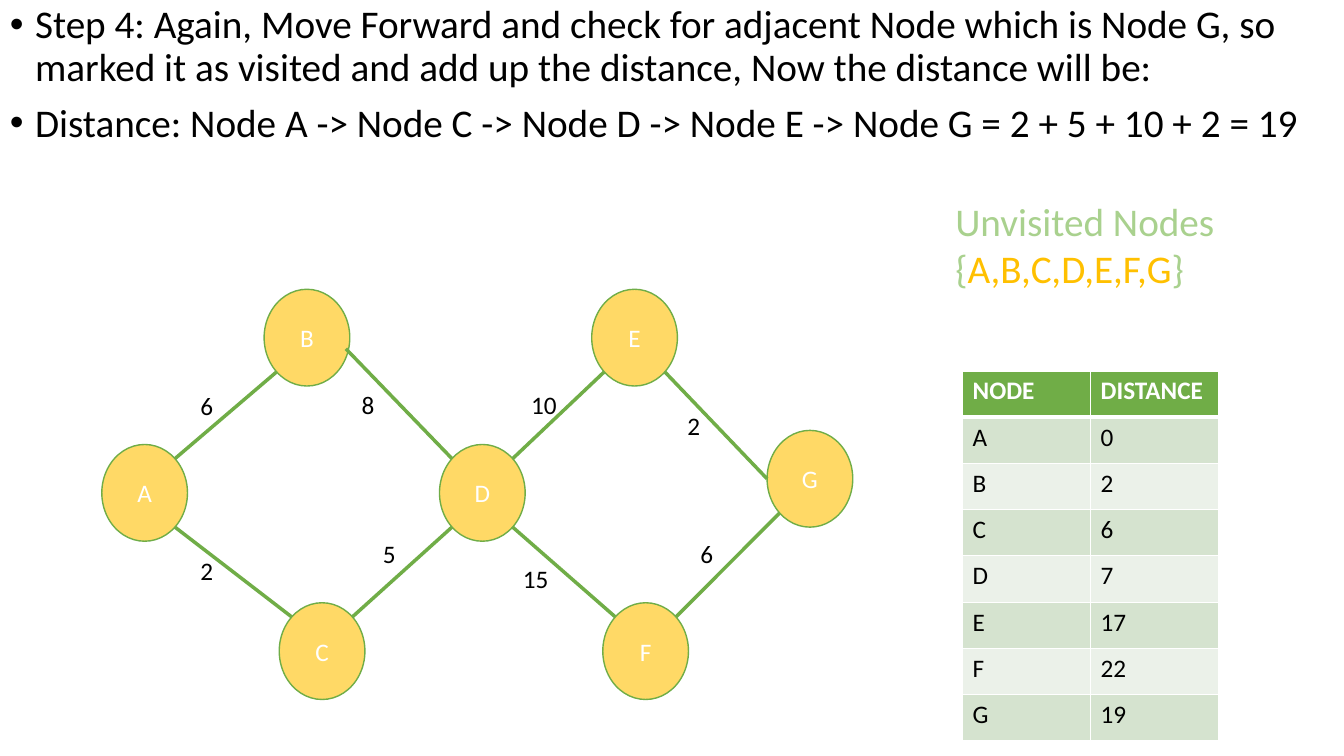
import math

import pptx
import pptx.dml.color
import pptx.enum.shapes
import pptx.enum.text
import pptx.oxml
import pptx.oxml.ns
import pptx.util

COLORS = {"black": "000000", "white": "FFFFFF", "node": "FFD966", "green": "70AD47",
          "pale green": "A9D18E", "gold": "FFC000", "band dark": "D5E3CF", "band light": "EBF1E9"}
FONT = "Calibri"
CELL = 0.1  # inches per grid column and row
COLUMNS, ROWS = 133.33, 75
NODE_WIDTH, NODE_HEIGHT = 8.5, 9.6
DIAGONAL = math.sqrt(0.5)

STEPS = [
    "Step 4: Again, Move Forward and check for adjacent Node which is Node G, "
    "so marked it as visited and add up the distance, Now the distance will be:",
    "Distance: Node A -> Node C -> Node D -> Node E -> Node G = 2 + 5 + 10 + 2 = 19",
]
# Left and top of each node
NODES = {"B": (26.2, 28.7), "A": (10.1, 44.1), "C": (27.7, 59.8), "D": (43.6, 44.1),
         "F": (59.8, 59.8), "E": (58.7, 28.7), "G": (76.1, 42.7)}
# Rim points in radii from a node's centre
UP_RIGHT, DOWN_RIGHT = (DIAGONAL, -DIAGONAL), (DIAGONAL, DIAGONAL)
UP_LEFT, DOWN_LEFT = (-DIAGONAL, -DIAGONAL), (-DIAGONAL, DIAGONAL)
LEFT, LOW_RIGHT = (-1, 0), (0.91, 0.23)
# Nodes, rim points, weight and the label's left and top
EDGES = [
    ("A", UP_RIGHT, "B", DOWN_LEFT, "6", 18.9, 38.2),
    ("F", UP_RIGHT, "G", DOWN_LEFT, "6", 68.5, 52.9),
    ("C", UP_RIGHT, "D", DOWN_LEFT, "5", 37, 52.9),
    ("D", UP_RIGHT, "E", DOWN_LEFT, "10", 51.7, 38.1),
    ("B", LOW_RIGHT, "D", UP_LEFT, "8", 34.9, 38.1),
    ("D", DOWN_RIGHT, "F", UP_LEFT, "15", 50.9, 55.4),
    ("E", DOWN_RIGHT, "G", LEFT, "2", 67.2, 40.2),
    ("A", DOWN_RIGHT, "C", UP_LEFT, "2", 18.9, 54.6),
]
DISTANCES = [("NODE", "DISTANCE"), ("A", "0"), ("B", "2"), ("C", "6"), ("D", "7"),
             ("E", "17"), ("F", "22"), ("G", "19")]


def grid(*cells):
    return [pptx.util.Inches(cell * CELL) for cell in cells]


def color(name):
    return pptx.dml.color.RGBColor.from_string(COLORS[name])


def style(span, size, name, bold=False):
    span.font.name = FONT
    span.font.size = pptx.util.Pt(size)
    span.font.bold = bold
    span.font.color.rgb = color(name)


def add_text(page, place, lines, size):
    """Each line is a list of (text, colour) pieces."""
    frame = page.shapes.add_textbox(*grid(*place)).text_frame
    frame.word_wrap = True
    for index, pieces in enumerate(lines):
        para = frame.add_paragraph() if index else frame.paragraphs[0]
        for text, name in pieces:
            span = para.add_run()
            span.text = text
            style(span, size, name)
    return frame


def add_bullets(page, place, lines):
    frame = add_text(page, place, [[(line, "black")] for line in lines], 28)
    for para in frame.paragraphs:
        para.line_spacing = 0.9
        para.space_before = pptx.util.Pt(10)
        properties = para._p.get_or_add_pPr()
        indent = pptx.util.Inches(0.25)
        properties.set("marL", str(indent))
        properties.set("indent", str(-indent))
        namespace = pptx.oxml.ns.nsdecls("a")
        properties.append(pptx.oxml.parse_xml(f'<a:buFont {namespace} typeface="Arial"/>'))
        properties.append(pptx.oxml.parse_xml(f'<a:buChar {namespace} char="•"/>'))


def add_node(page, name, left, top):
    node = page.shapes.add_shape(pptx.enum.shapes.MSO_SHAPE.OVAL,
                                 *grid(left, top, NODE_WIDTH, NODE_HEIGHT))
    node.shadow.inherit = False
    node.fill.solid()
    node.fill.fore_color.rgb = color("node")
    node.line.color.rgb = color("green")
    node.line.width = pptx.util.Pt(1)
    node.text_frame.text = name
    node.text_frame.vertical_anchor = pptx.enum.text.MSO_ANCHOR.MIDDLE
    para = node.text_frame.paragraphs[0]
    para.alignment = pptx.enum.text.PP_ALIGN.CENTER
    style(para.runs[0], 18, "white")


def rim_point(name, direction):
    left, top = NODES[name]
    return (left + NODE_WIDTH / 2 * (1 + direction[0]),
            top + NODE_HEIGHT / 2 * (1 + direction[1]))


def add_edge(page, start, end):
    edge = page.shapes.add_connector(pptx.enum.shapes.MSO_CONNECTOR.STRAIGHT,
                                     *grid(*start, *end))
    edge.line.color.rgb = color("green")
    edge.line.width = pptx.util.Pt(2.5)
    edge._element.spPr.append(
        pptx.oxml.parse_xml(f'<a:effectLst {pptx.oxml.ns.nsdecls("a")}/>'))


def add_borders(cell, row):
    heavy_side = {0: "B", 1: "T"}.get(row)
    for side in "LRTB":
        width = pptx.util.Pt(3 if side == heavy_side else 0.96)
        cell._tc.get_or_add_tcPr().append(pptx.oxml.parse_xml(
            f'<a:ln{side} {pptx.oxml.ns.nsdecls("a")} w="{width}"><a:solidFill>'
            f'<a:srgbClr val="{COLORS["white"]}"/></a:solidFill></a:ln{side}>'))


def add_distance_table(page, place, rows):
    table = page.shapes.add_table(len(rows), len(rows[0]), *grid(*place)).table
    for row, values in enumerate(rows):
        fill = "green" if row == 0 else "band dark" if row % 2 else "band light"
        for column, value in enumerate(values):
            cell = table.cell(row, column)
            add_borders(cell, row)
            cell.fill.solid()
            cell.fill.fore_color.rgb = color(fill)
            cell.text_frame.text = value
            style(cell.text_frame.paragraphs[0].runs[0], 18,
                  "black" if row else "white", bold=row == 0)


def main():
    deck = pptx.Presentation()
    deck.slide_width, deck.slide_height = grid(COLUMNS, ROWS)
    page = deck.slides.add_slide(deck.slide_layouts[6])

    # Explanation
    add_bullets(page, (0, 0, COLUMNS, ROWS), STEPS)

    # Graph
    for name, (left, top) in NODES.items():
        add_node(page, name, left, top)
    for first, leave, second, arrive, weight, left, top in EDGES:
        add_edge(page, rim_point(first, leave), rim_point(second, arrive))
        add_text(page, (left, top, 11.6, 4), [[(weight, "black")]], 18)

    # Visited nodes and distances
    add_text(page, (93.8, 19.1, 43.3, 55.9), [
        [("Unvisited Nodes", "pale green")],
        [("{", "pale green"), ("A,B,C,D,E,F,G", "gold"), ("}", "pale green")],
    ], 28)
    add_distance_table(page, (95.5, 36.8, 25.4, 36.7), DISTANCES)

    deck.save("out.pptx")


if __name__ == "__main__":
    main()
